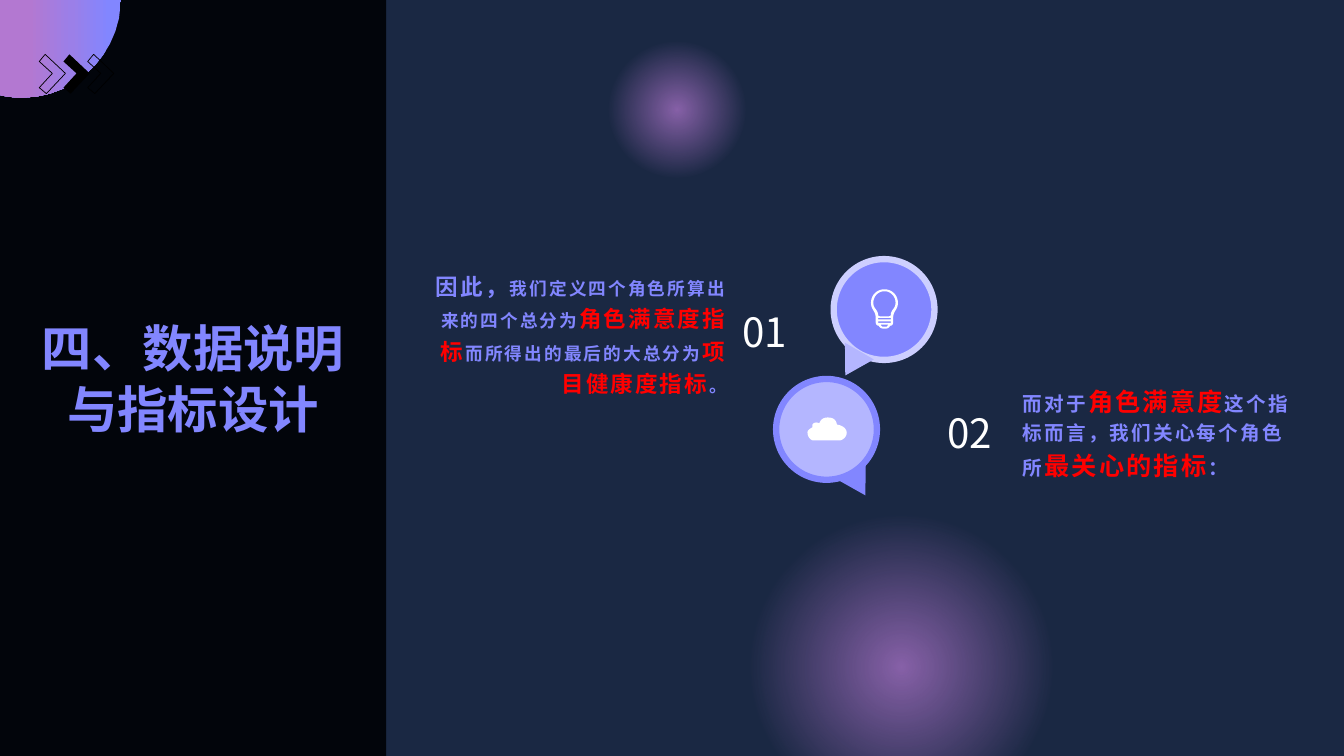
from lxml.etree import SubElement
from pptx import Presentation
from pptx.dml.color import RGBColor
from pptx.enum.shapes import MSO_SHAPE
from pptx.enum.text import MSO_ANCHOR, PP_ALIGN
from pptx.oxml import parse_xml
from pptx.oxml.ns import nsdecls, qn
from pptx.util import Cm, Pt

FONT = "Noto Sans CJK JP"
PERIWINKLE, LILAC, PALE = "8286FF", "B4B6FF", "CDCFFF"
ORCHID, WHITE, BLACK, RED = "B378D1", "FFFFFF", "000000", "FF0000"


def color(value):
    return RGBColor.from_string(value)


def paint(shape, fill=None, line=None, width=0.5):
    shape.shadow.inherit = False
    if fill:
        shape.fill.solid()
        shape.fill.fore_color.rgb = color(fill)
    else:
        shape.fill.background()
    if line:
        shape.line.color.rgb = color(line)
        shape.line.width = Pt(width)
    else:
        shape.line.fill.background()


def paint_gradient(shape, stops, direction):
    """Stops are (percent, colour, opacity percent)."""
    shape.shadow.inherit = False
    shape.line.fill.background()
    stop_xml = "".join(
        f'<a:gs pos="{position * 1000}"><a:srgbClr val="{value}">'
        f'<a:alpha val="{opacity * 1000}"/></a:srgbClr></a:gs>'
        for position, value, opacity in stops)
    gradient = parse_xml(f'<a:gradFill {nsdecls("a")} rotWithShape="1">'
                         f'<a:gsLst>{stop_xml}</a:gsLst>{direction}</a:gradFill>')
    shape.element.spPr.insert(2, gradient)


def trace(start, *segments, steps=10):
    """Points along lines (x, y) and cubic curves (x1, y1, x2, y2, x, y)."""
    points = [start]
    for segment in segments:
        if len(segment) == 2:
            points.append(segment)
            continue
        corners = [points[-1], segment[:2], segment[2:4], segment[4:]]
        for step in range(1, steps + 1):
            t = step / steps
            weights = ((1 - t) ** 3, 3 * t * (1 - t) ** 2, 3 * t * t * (1 - t), t ** 3)
            points.append(tuple(sum(w * corner[axis] for w, corner in zip(weights, corners))
                                for axis in (0, 1)))
    return points


def mirror(half, axis):
    return half + [(2 * axis - x, y) for x, y in reversed(half)]


def add_outline(slide, left, top, *contours):
    contours = [[(Cm(left + x), Cm(top + y)) for x, y in contour] for contour in contours]
    builder = slide.shapes.build_freeform(*contours[0][0], scale=1.0)
    for index, contour in enumerate(contours):
        if index:
            builder.move_to(*contour[0])
        builder.add_line_segments(contour[1:], close=True)
    return builder.convert_to_shape()


def add_text(slide, box, runs, align, spacing=1.0, bold=False, tracking=0, inset=None):
    """Runs are (text, size, colour)."""
    frame = slide.shapes.add_textbox(*map(Cm, box)).text_frame
    frame.word_wrap = True
    frame.vertical_anchor = MSO_ANCHOR.MIDDLE
    if inset is not None:
        frame.margin_left = frame.margin_right = Cm(inset)
        frame.margin_top = frame.margin_bottom = Cm(inset)
    paragraph = frame.paragraphs[0]
    paragraph.alignment = align
    paragraph.line_spacing = spacing
    paragraph.font.name = FONT
    paragraph.font.bold = bold
    for text, size, value in runs:
        run = paragraph.add_run()
        run.text = text
        run.font.size = Pt(size)
        run.font.color.rgb = color(value)
        properties = run.font._element
        properties.set("spc", str(tracking))
        SubElement(properties, qn("a:ea"), typeface=FONT)


def add_glow(slide, box):
    glow = slide.shapes.add_shape(MSO_SHAPE.OVAL, *map(Cm, box))
    paint_gradient(glow, [(0, ORCHID, 71), (59, ORCHID, 0)],
                   '<a:path path="circle"><a:fillToRect l="50000" t="50000" '
                   'r="50000" b="50000"/></a:path>')


def add_title_panel(slide, left, top, width, height):
    panel = slide.shapes.add_shape(MSO_SHAPE.RECTANGLE, *map(Cm, (left, top, width, height)))
    paint(panel, "02050B")
    # Corner blob
    blob = add_outline(slide, left, top, trace(
        (0, 0), (3.05, 0), (3, 0.46), (2.77, 1.6, 1.75, 2.46, 0.56, 2.46),
        (0.38, 2.46, 0.23, 2.44, 0.05, 2.41), (0, 2.39)))
    paint_gradient(blob, [(10, PERIWINKLE, 100), (41, "9B7FE8", 100), (76, ORCHID, 100)],
                   '<a:lin ang="10800000" scaled="0"/>')
    # Chevrons, the middle one solid
    chevron = [(0.15, 0), (0.66, 0.48), (0.18, 0.99), (0, 0.84), (0.33, 0.48), (0, 0.18)]
    for index in range(3):
        arrow = add_outline(slide, left + 0.99 + 0.61 * index, top + 1.37, chevron)
        if index == 1:
            paint(arrow, fill=BLACK)
        else:
            paint(arrow, line=BLACK)
    # Title
    margin = 0.84
    add_text(slide, (left + margin, top + margin, width - 2 * margin, height - 2 * margin),
             [("四、数据说明与指标设计", 36, PERIWINKLE)], PP_ALIGN.CENTER, bold=True, inset=0)


def add_bubble(slide, left, top, fill, rim, tail_fill, tail_on_right):
    size, tail_width, tail_height, edge = 2.54, 0.84, 0.71, 0.05
    circle = slide.shapes.add_shape(MSO_SHAPE.OVAL, Cm(left), Cm(top), Cm(size), Cm(size))
    paint(circle, fill, rim, 4.5)
    tail_left = left + (size - tail_width - edge if tail_on_right else edge)
    tail = slide.shapes.add_shape(MSO_SHAPE.ISOSCELES_TRIANGLE, Cm(tail_left), Cm(top + 2.27),
                                  Cm(tail_width), Cm(tail_height))
    paint(tail, tail_fill)
    tail.rotation = 330 if tail_on_right else 30
    tail.element.spPr.find(qn("a:xfrm")).set("flipV", "1")


def add_bulb(slide, left, top):
    axis = 0.34
    body = trace((axis, 0), (0.53, 0, 0.68, 0.15, 0.68, 0.34), (0.68, 0.52, 0.56, 0.54, 0.56, 0.72),
                 (0.56, 0.82), (0.56, 0.89, 0.53, 0.92, 0.48, 0.92),
                 (0.46, 0.97, 0.42, 0.99, 0.38, 0.99))
    glass = trace((axis, 0.05), (0.5, 0.05, 0.62, 0.18, 0.62, 0.34),
                  (0.62, 0.5, 0.51, 0.5, 0.5, 0.64), (0.5, 0.67, 0.48, 0.68, 0.46, 0.68))
    slots = [[(0.5, y), (0.5, y + 0.04)] for y in (0.72, 0.81)]
    base = [(0.44, 0.89), (0.4, 0.94)]
    bulb = add_outline(slide, left, top,
                       *(mirror(half, axis) for half in (body, glass, *slots, base)))
    paint(bulb, WHITE)


def add_cloud(slide, left, top):
    cloud = add_outline(slide, left, top, trace(
        (0.13, 0.25), (0.13, 0.25, 0, 0.3, 0, 0.38), (0, 0.48, 0.08, 0.58, 0.15, 0.58),
        (0.81, 0.58), (0.86, 0.58, 0.99, 0.51, 0.99, 0.38),
        (0.97, 0.2, 0.74, 0.18, 0.74, 0.18), (0.74, 0.18, 0.74, 0, 0.51, 0),
        (0.33, 0, 0.3, 0.15, 0.3, 0.15), (0.3, 0.15, 0.23, 0.1, 0.15, 0.15),
        (0.1, 0.2, 0.13, 0.25, 0.13, 0.25)))
    paint(cloud, WHITE)


def add_points(slide, left, top):
    # Texts and numbers
    add_text(slide, (left, top + 0.07, 7.98, 3.56), [
        ("因此，", 16.1, PERIWINKLE),
        ("我们定义四个角色所算出来的四个总分为", 12.6, PERIWINKLE),
        ("角色满意度指标", 16.1, RED),
        ("而所得出的最后的大总分为", 12.6, PERIWINKLE),
        ("项目健康度指标", 16.1, RED),
        ("。", 12.6, PERIWINKLE)], PP_ALIGN.RIGHT, 1.2, True, 150)
    for number, x, y in (("01", 7.75, 0.94), ("02", 12.93, 3.5)):
        add_text(slide, (left + x, top + y, 1.85, 1.63), [(number, 28.8, WHITE)],
                 PP_ALIGN.CENTER, 1.1)
    add_text(slide, (left + 14.94, top + 2.64, 7.49, 3.35), [
        ("而对于", 14, PERIWINKLE),
        ("角色满意度", 18, RED),
        ("这个指标而言，我们关心每个角色所", 14, PERIWINKLE),
        ("最关心的指标", 18, RED),
        ("：", 14, PERIWINKLE)], PP_ALIGN.LEFT, 1.2, True, 150)
    # Speech bubbles with their icons
    add_bubble(slide, left + 8.97, top + 3.02, LILAC, PERIWINKLE, PERIWINKLE, True)
    add_bubble(slide, left + 10.42, top, PERIWINKLE, PALE, LILAC, False)
    add_bulb(slide, left + 11.36, top + 0.76)
    add_cloud(slide, left + 9.76, top + 3.99)


def main():
    presentation = Presentation()
    presentation.slide_width, presentation.slide_height = Cm(33.87), Cm(19.05)
    slide = presentation.slides.add_slide(presentation.slide_layouts[6])
    slide.background.fill.solid()
    slide.background.fill.fore_color.rgb = color("1A2843")
    add_glow(slide, (14.99, 0.69, 4.14, 4.14))
    add_glow(slide, (17.5, 12.93, 10.41, 7.75))
    add_title_panel(slide, 0, 0, 9.73, 19.05)
    add_points(slide, 10.59, 6.53)
    presentation.save("out.pptx")


if __name__ == "__main__":
    main()
